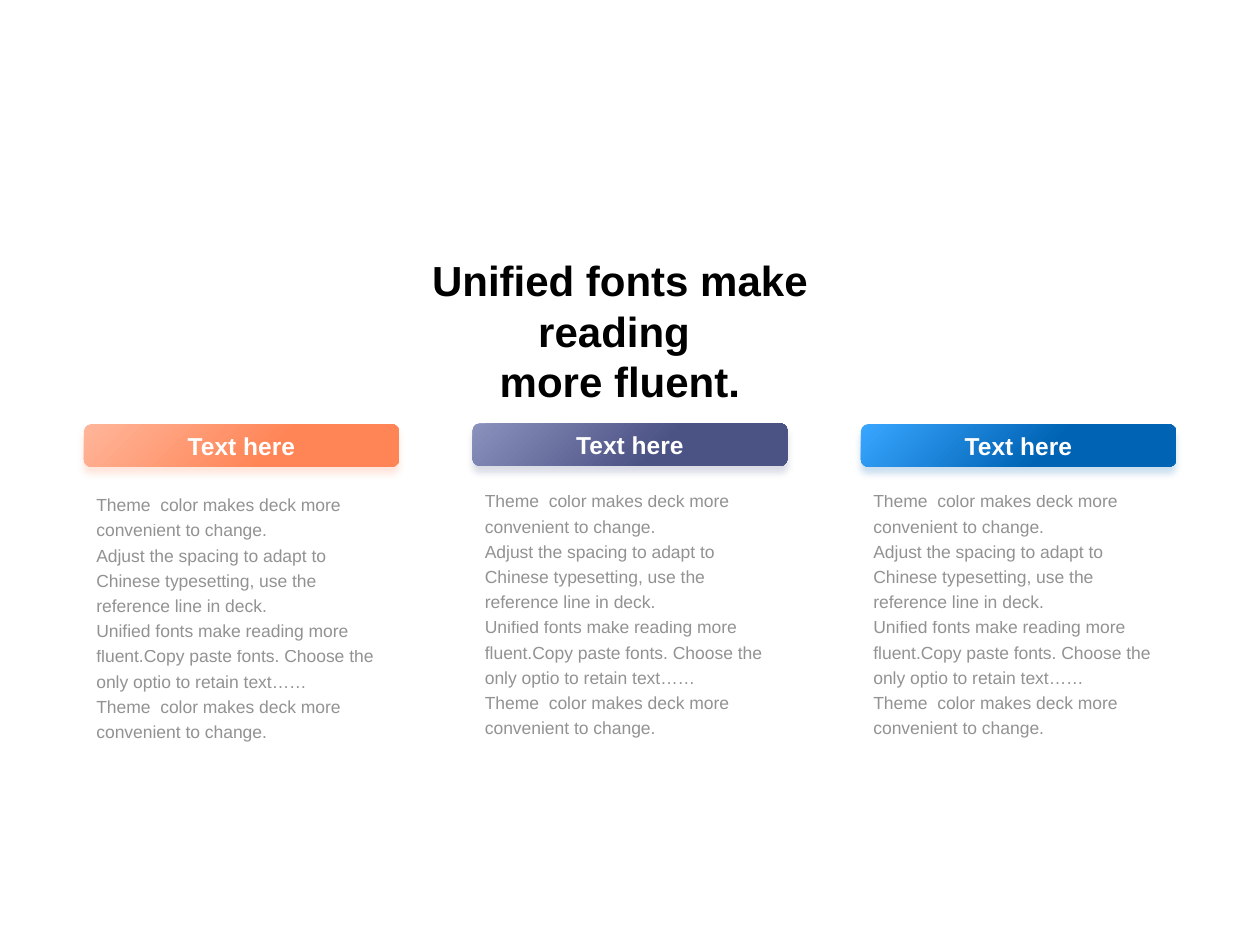
"""Build a slide with a centred title above three headed columns of text."""
import pptx
import pptx.dml.color
import pptx.enum.shapes
import pptx.enum.text
import pptx.oxml
import pptx.oxml.ns
import pptx.util
from lxml import etree

RGBColor = pptx.dml.color.RGBColor
WHITE = RGBColor(0xFF, 0xFF, 0xFF)
BLACK = RGBColor(0x00, 0x00, 0x00)
GREY = RGBColor(0x26, 0x26, 0x26)
PEACH = RGBColor(0xFF, 0xB6, 0x9A)
CORAL = RGBColor(0xFF, 0x85, 0x57)
LILAC = RGBColor(0x8B, 0x91, 0xBD)
INDIGO = RGBColor(0x4B, 0x52, 0x84)
SKY = RGBColor(0x39, 0xA6, 0xFF)
BLUE = RGBColor(0x00, 0x63, 0xB4)

WIDE, HIGH = pptx.util.Inches(10), pptx.util.Inches(7.5)
EDGE, SPAN = 1 / 15, 1 / 4
STEP = (1 - 2 * EDGE - SPAN) / 2

CENTER = pptx.enum.text.PP_ALIGN.CENTER
LEFT = pptx.enum.text.PP_ALIGN.LEFT
TITLE = {"size": pptx.util.Pt(24), "bold": True}
HEAD = {"size": pptx.util.Pt(14), "bold": True}
BODY = {"size": pptx.util.Pt(10), "bold": False}

THEME = "Theme  color makes deck more convenient to change."
NOTES = [
    THEME,
    "Adjust the spacing to adapt to Chinese typesetting, use the reference line in deck.",
    "Unified fonts make reading more fluent.Copy paste fonts. "
    "Choose the only optio to retain text……",
    THEME,
]
COLUMNS = [
    (PEACH, CORAL, 0.449, 0.512),
    (LILAC, INDIGO, 0.448, 0.508),
    (SKY, BLUE, 0.449, 0.508),
]


def place(left, top, width, height):
    """Turn shares of the slide into lengths."""
    return (round(left * WIDE), round(top * HIGH),
            round(width * WIDE), round(height * HIGH))


def write(frame, lines, style, color, align, space=1.0, alpha=None):
    """Fill a frame with one styled paragraph per line."""
    frame.word_wrap = True
    for index, line in enumerate(lines):
        para = frame.paragraphs[0] if index == 0 else frame.add_paragraph()
        para.alignment, para.line_spacing = align, space
        run = para.add_run()
        run.text = line
        for name, value in {"name": "Arial", **style}.items():
            setattr(run.font, name, value)
        run.font.color.rgb = color
        if alpha:
            tint = run.font.fill._xPr.find(".//" + pptx.oxml.ns.qn("a:srgbClr"))
            etree.SubElement(tint, pptx.oxml.ns.qn("a:alpha"), val=str(alpha * 1000))


def add_text(slide, box, *args, **kwargs):
    """Add a text box that grows with its text."""
    frame = slide.shapes.add_textbox(*place(*box)).text_frame
    write(frame, *args, **kwargs)
    frame.auto_size = pptx.enum.text.MSO_AUTO_SIZE.SHAPE_TO_FIT_TEXT


def add_glow(shape, color):
    """Cast a soft coloured shadow straight down."""
    shape.shadow.inherit = False
    cast = pptx.oxml.parse_xml(
        f'<a:outerShdw {pptx.oxml.ns.nsdecls("a")} blurRad="50800" dist="50800" '
        f'dir="5400000" algn="t" rotWithShape="0"><a:srgbClr val="{color}">'
        '<a:alpha val="20000"/></a:srgbClr></a:outerShdw>')
    shape._element.spPr.find(pptx.oxml.ns.qn("a:effectLst")).append(cast)


def add_head(slide, box, pale, deep):
    """Add a rounded heading bar with a diagonal gradient."""
    kind = pptx.enum.shapes.MSO_SHAPE.ROUNDED_RECTANGLE
    bar = slide.shapes.add_shape(kind, *place(*box))
    bar.line.fill.background()
    bar.fill.gradient()
    bar.fill.gradient_angle = 315
    for stop, color, spot in zip(bar.fill.gradient_stops, (pale, deep), (0, 0.6)):
        stop.color.rgb, stop.position = color, spot
    add_glow(bar, deep)
    bar.text_frame.vertical_anchor = pptx.enum.text.MSO_ANCHOR.MIDDLE
    write(bar.text_frame, ["Text here"], HEAD, WHITE, CENTER)


def main():
    """Lay out the title and the columns, then save."""
    deck = pptx.Presentation()
    deck.slide_width, deck.slide_height = WIDE, HIGH
    slide = deck.slides.add_slide(deck.slide_layouts[6])
    add_text(slide, (0.273, 0.263, 0.438, 0.175),
             ["Unified fonts make reading ", "more fluent."], TITLE, BLACK, CENTER)
    for index, (pale, deep, top, low) in enumerate(COLUMNS):
        left = EDGE + index * STEP
        add_head(slide, (left, top, SPAN, 0.045), pale, deep)
        add_text(slide, (left, low, SPAN, 0.28), NOTES, BODY, GREY, LEFT,
                 space=1.2, alpha=50)
    deck.save("out.pptx")


if __name__ == "__main__":
    main()
